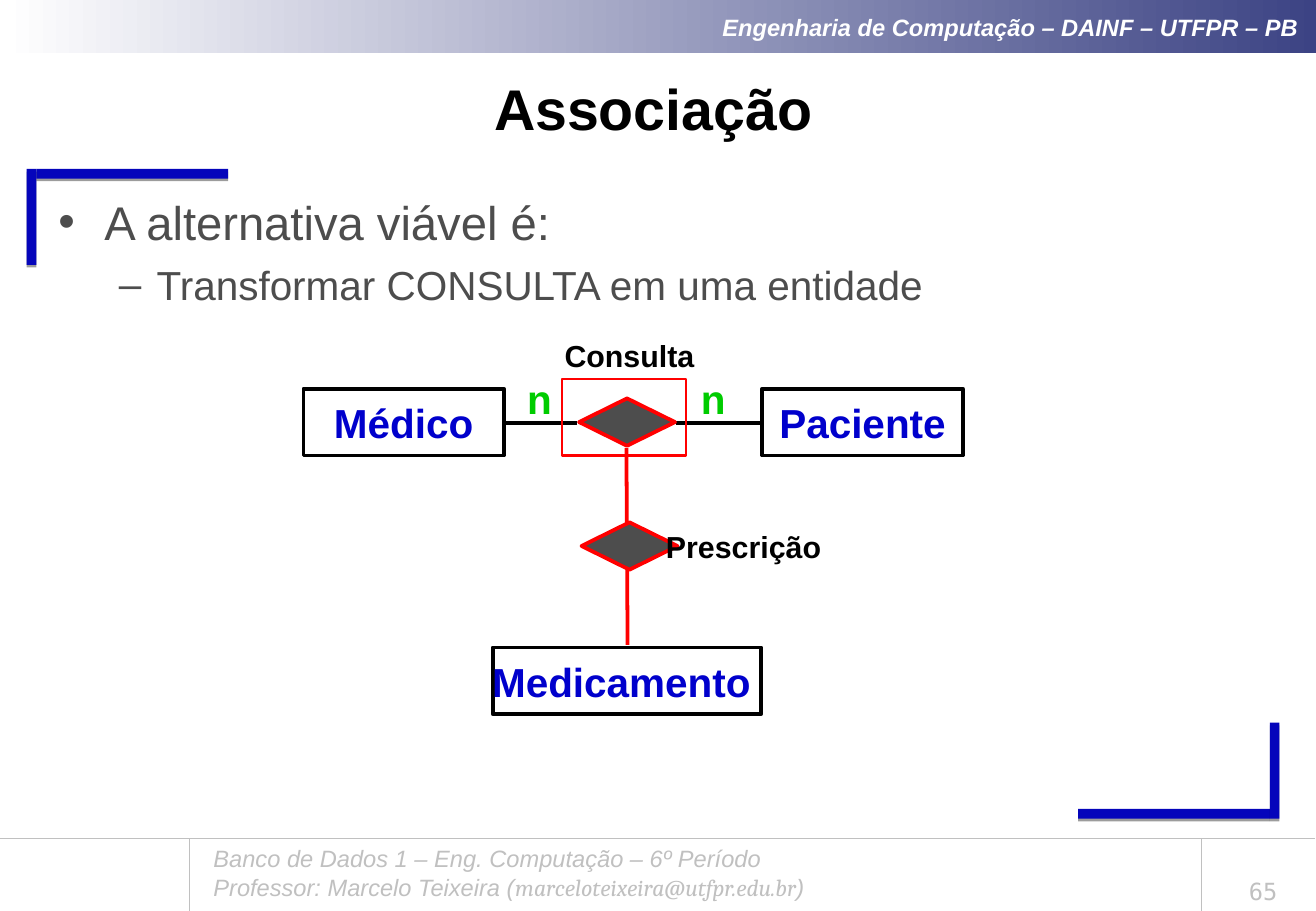
from lxml.etree import SubElement
from pptx import Presentation
from pptx.dml.color import RGBColor
from pptx.enum.shapes import MSO_CONNECTOR, MSO_SHAPE
from pptx.enum.text import MSO_ANCHOR, MSO_AUTO_SIZE, PP_ALIGN
from pptx.oxml.ns import qn
from pptx.util import Inches, Pt

WHITE = RGBColor(0xFF, 0xFF, 0xFF)
BLACK = RGBColor(0, 0, 0)
NAVY = RGBColor(0x3C, 0x43, 0x84)
BLUE = RGBColor(0x05, 0x05, 0xBB)
INK = RGBColor(0, 0, 0xCC)
GREEN = RGBColor(0, 0xCC, 0)
RED = RGBColor(0xFF, 0, 0)
GRAY = RGBColor(0x4D, 0x4D, 0x4D)
PALE = RGBColor(0xC0, 0xC0, 0xC0)

HEAD = dict(size=Pt(14), bold=True, italic=True, color=WHITE)
FOOT = dict(size=Pt(14), italic=True, color=PALE)
MAIL = dict(FOOT, name="Cambria")
PAGE = dict(size=Pt(14), name="DejaVu Sans Mono", color=PALE)
TITLE = dict(size=Pt(34), bold=True, color=BLACK)
ENTITY = dict(size=Pt(24), bold=True, color=INK)
COUNT = dict(ENTITY, color=GREEN)
LABEL = dict(size=Pt(18), bold=True, color=BLACK)


class Deck:
    def __init__(self, wide, high, font):
        self.show = Presentation()
        self.show.slide_width, self.show.slide_height = Inches(wide), Inches(high)
        self.slide = self.show.slides.add_slide(self.show.slide_layouts[1])
        self.font = font

    def style(self, font, look):
        for key, value in (dict(name=self.font) | look).items():
            if key == "color":
                font.color.rgb = value
            else:
                setattr(font, key, value)

    def place(self, shape, box):
        for key, value in zip(("left", "top", "width", "height"), box):
            setattr(shape, key, Inches(value))

    def label(self, shape, lines, align=PP_ALIGN.CENTER, anchor=MSO_ANCHOR.MIDDLE,
              wrap=True, pad=(0.1, 0.05)):
        """Fill a shape with lines, each a list of (text, look) runs."""
        frame = shape.text_frame
        side, edge = map(Inches, pad)
        form = dict(auto_size=MSO_AUTO_SIZE.NONE, word_wrap=wrap, vertical_anchor=anchor,
                    margin_left=side, margin_right=side, margin_top=edge, margin_bottom=edge)
        for key, value in form.items():
            setattr(frame, key, value)
        for index, line in enumerate(lines):
            para = frame.add_paragraph() if index else frame.paragraphs[0]
            para.alignment = align
            for text, look in line:
                run = para.add_run()
                run.text = text
                self.style(run.font, look)
        return frame

    def text(self, box, lines, **form):
        self.label(self.slide.shapes.add_textbox(*map(Inches, box)), lines, **form)

    def tag(self, box, text, look):
        self.text(box, [[(text, look)]], wrap=False, pad=(0.04, 0.04))

    def title(self, box, text):
        shape = self.slide.shapes.title
        self.place(shape, box)
        self.label(shape, [[(text, TITLE)]])

    def list(self, box, items):
        """Fill the body with (text, level, size, bullet, margin, hang, space) items."""
        body = self.slide.placeholders[1]
        self.place(body, box)
        lines = [[(item[0], dict(size=Pt(item[2]), color=GRAY))] for item in items]
        frame = self.label(body, lines, align=PP_ALIGN.LEFT, anchor=MSO_ANCHOR.TOP)
        for para, (_, level, _, mark, margin, hang, space) in zip(frame.paragraphs, items):
            para.level = level
            para.space_before = Pt(space)
            props = para._p.get_or_add_pPr()
            props.set("marL", str(Inches(margin)))
            props.set("indent", str(-Inches(hang)))
            tint = SubElement(props, qn("a:buClr"))
            SubElement(tint, qn("a:srgbClr"), val=str(GRAY))
            SubElement(props, qn("a:buFont"), typeface=self.font)
            SubElement(props, qn("a:buChar"), char=mark)

    def shape(self, kind, box, fill=None, line=None, width=2.25):
        shape = self.slide.shapes.add_shape(kind, *map(Inches, box))
        shape.shadow.inherit = False
        if fill is None:
            shape.fill.background()
        else:
            shape.fill.solid()
            shape.fill.fore_color.rgb = fill
        if line is None:
            shape.line.fill.background()
        else:
            shape.line.color.rgb = line
            shape.line.width = Pt(width)
        return shape

    def banner(self, box, text):
        shape = self.shape(MSO_SHAPE.RECTANGLE, box)
        shape.fill.gradient()
        shape.fill.gradient_angle = 0
        for stop, color, point in zip(shape.fill.gradient_stops, (WHITE, NAVY), (0, 1)):
            stop.color.rgb = color
            stop.position = point
        self.label(shape, [[(text, HEAD)]], align=PP_ALIGN.RIGHT)

    def bar(self, box):
        """Draw a corner bar with a thin shadow below it."""
        shape = self.shape(MSO_SHAPE.RECTANGLE, box, BLUE)
        effects = shape._element.spPr.find(qn("a:effectLst"))
        shade = SubElement(effects, qn("a:outerShdw"), blurRad="0", dist=str(Pt(1.6)),
                           dir="5400000", algn="t", rotWithShape="0")
        tint = SubElement(shade, qn("a:srgbClr"), val=str(BLACK))
        SubElement(tint, qn("a:alpha"), val="38000")

    def entity(self, box, text):
        shape = self.shape(MSO_SHAPE.RECTANGLE, box, WHITE, BLACK)
        self.label(shape, [[(text, ENTITY)]], wrap=False, pad=(0.04, 0.04))

    def line(self, start, end, color, width=2.25):
        link = self.slide.shapes.add_connector(
            MSO_CONNECTOR.STRAIGHT, *map(Inches, start + end))
        link.line.color.rgb = color
        link.line.width = Pt(width)
        SubElement(link._element.spPr, qn("a:effectLst"))


def main():
    deck = Deck(10.84, 7.5, "Arial")

    deck.banner((0.02, 0, 10.83, 0.44), "Engenharia de Computação – DAINF – UTFPR – PB ")
    for flat, tall in (((8.88, 6.66), (10.46, 5.95)), ((0.3, 1.39), (0.22, 1.39))):
        deck.bar(flat + (1.58, 0.08))
        deck.bar(tall + (0.08, 0.79))
    for x in (1.56, 9.9):
        deck.line((x, 6.9), (x, 7.5), PALE, 0.75)
    deck.text((1.66, 6.9, 7.54, 0.57), [
        [("Banco de Dados 1 – Eng. Computação – 6º Período", FOOT)],
        [("Professor: Marcelo Teixeira (", FOOT),
         ("marceloteixeira@utfpr.edu.br", MAIL), (")", FOOT)],
    ], align=PP_ALIGN.LEFT, anchor=MSO_ANCHOR.TOP)
    deck.line((0, 6.9), (10.83, 6.9), PALE, 0.25)
    deck.text((9.97, 7.11, 0.87, 0.39), [[("65", PAGE)]], anchor=MSO_ANCHOR.BOTTOM)

    deck.title((0.22, 0.54, 10.32, 0.69), "Associação")
    deck.list((0.38, 1.54, 10, 1.5), [
        ("A alternativa viável é:", 0, 28, "•", 0.38, 0.38, 0),
        ("Transformar CONSULTA em uma entidade", 1, 24, "–", 0.81, 0.31, 6),
    ])

    for left, right in ((4.17, 4.75), (5.57, 6.27)):
        deck.line((left, 3.48), (right, 3.48), BLACK)
    for x in (3.93, 5.36):
        deck.tag((x, 3.04, 1.03, 0.48), "n", COUNT)
    for x, y, width, name in ((6.28, 3.2, 1.65, "Paciente"), (2.5, 3.2, 1.65, "Médico"),
                              (4.06, 5.33, 2.21, "Medicamento ")):
        deck.entity((x, y, width, 0.55), name)
    deck.shape(MSO_SHAPE.RECTANGLE, (4.63, 3.12, 1.02, 0.63), line=RED, width=1.5)
    deck.line((5.17, 5.31), (5.16, 3.69), RED)
    for x, y in ((4.79, 4.3), (4.77, 3.28)):
        deck.shape(MSO_SHAPE.DIAMOND, (x, y, 0.79, 0.39), GRAY, RED)
    for x, y, name in ((4.79, 2.73, "Consulta"), (5.73, 4.3, "Prescrição")):
        deck.tag((x, y, 0.79, 0.39), name, LABEL)

    deck.show.save("out.pptx")


if __name__ == "__main__":
    main()
